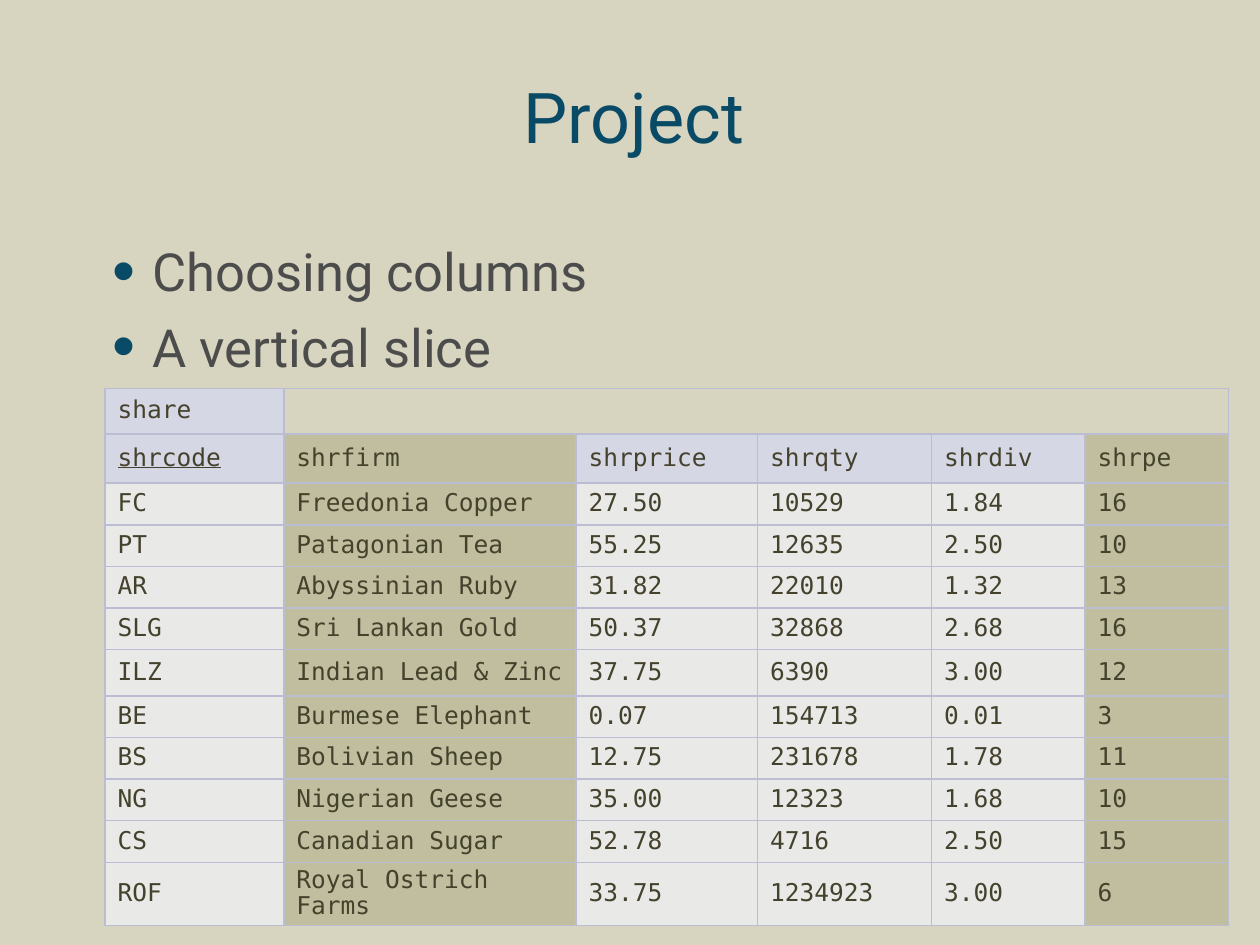
"""Build the Project slide: two bullets above a share table with two columns shaded out."""
from lxml.etree import SubElement
from pptx import Presentation
from pptx.dml.color import RGBColor
from pptx.enum.text import MSO_ANCHOR as Anchor, MSO_AUTO_SIZE as AutoSize, PP_ALIGN as Align
from pptx.oxml.ns import qn
from pptx.util import Pt

TITLE = "Project"
BULLETS = ["Choosing columns", "A vertical slice"]
TABLE_NAME = "share"
HEADERS = ["shrcode", "shrfirm", "shrprice", "shrqty", "shrdiv", "shrpe"]
SHARES = [
    ("FC", "Freedonia Copper", "27.50", "10529", "1.84", "16"),
    ("PT", "Patagonian Tea", "55.25", "12635", "2.50", "10"),
    ("AR", "Abyssinian Ruby", "31.82", "22010", "1.32", "13"),
    ("SLG", "Sri Lankan Gold", "50.37", "32868", "2.68", "16"),
    ("ILZ", "Indian Lead & Zinc", "37.75", "6390", "3.00", "12"),
    ("BE", "Burmese Elephant", "0.07", "154713", "0.01", "3"),
    ("BS", "Bolivian Sheep", "12.75", "231678", "1.78", "11"),
    ("NG", "Nigerian Geese", "35.00", "12323", "1.68", "10"),
    ("CS", "Canadian Sugar", "52.78", "4716", "2.50", "15"),
    ("ROF", "Royal Ostrich Farms", "33.75", "1234923", "3.00", "6"),
]
SHADED_COLUMNS = {"shrfirm", "shrpe"}
COLUMN_WIDTHS = [102.2, 167, 103.7, 99.4, 87.8, 82.1]
ROW_HEIGHT = 23.8
SPECIAL_HEIGHTS = {0: 26, 1: 28.1, 6: 26.4, 11: 26}

BACKGROUND = RGBColor(0xD7, 0xD4, 0xBF)
TEAL = RGBColor(0x09, 0x4B, 0x67)
GREY = RGBColor(0x4C, 0x4C, 0x4C)
OLIVE = RGBColor(0x44, 0x42, 0x2C)
HEADER_FILL = RGBColor(0xD6, 0xD7, 0xE5)
DATA_FILL = RGBColor(0xE9, 0xE9, 0xE8)
SHADED_FILL = RGBColor(0xC0, 0xBE, 0x9E)
BORDER = RGBColor(0xBB, 0xBD, 0xD3)
SANS, MONO = "Roboto", "DejaVu Sans Mono"


def place(box, left, top, width, height):
    box.left, box.top, box.width, box.height = map(Pt, (left, top, width, height))


def set_font(paragraph, name, size, color):
    font = paragraph.font
    font.name, font.size, font.bold = name, Pt(size), False
    font.color.rgb = color


def add_bullet(paragraph):
    properties = paragraph._p.get_or_add_pPr()
    properties.set("marL", str(Pt(36.7)))
    properties.set("indent", str(-Pt(23)))
    defaults = properties.find(qn("a:defRPr"))
    color = SubElement(properties, qn("a:buClr"))
    SubElement(color, qn("a:srgbClr"), val=str(TEAL))
    size = SubElement(properties, qn("a:buSzPct"), val="125000")
    mark = SubElement(properties, qn("a:buChar"), char="•")
    for element in (color, size, mark):
        defaults.addprevious(element)


def add_borders(cell):
    properties = cell._tc.get_or_add_tcPr()
    for position, side in enumerate(("lnL", "lnR", "lnT", "lnB")):
        line = SubElement(properties, qn("a:" + side), w=str(Pt(1)))
        fill = SubElement(line, qn("a:solidFill"))
        SubElement(fill, qn("a:srgbClr"), val=str(BORDER))
        properties.insert(position, line)


def format_cell(cell, text, fill):
    cell.text = text
    cell.vertical_anchor = Anchor.MIDDLE
    if fill is None:
        cell.fill.background()
    else:
        cell.fill.solid()
        cell.fill.fore_color.rgb = fill
    add_borders(cell)
    paragraph = cell.text_frame.paragraphs[0]
    set_font(paragraph, MONO, 14, OLIVE)
    paragraph.line_spacing = 0.88
    paragraph.space_before = Pt(0)
    spacing = paragraph._p.pPr.find(qn("a:spcBef"))
    spacing.remove(spacing[0])
    SubElement(spacing, qn("a:spcPct"), val="20000")
    if not text:
        paragraph._p.get_or_add_endParaRPr().set("sz", "1400")
    paragraph.font.underline = text == HEADERS[0]


def fill_for(row, column):
    if row == 0:
        return None if column else HEADER_FILL
    if HEADERS[column] in SHADED_COLUMNS:
        return SHADED_FILL
    return HEADER_FILL if row == 1 else DATA_FILL


def add_share_table(page):
    rows = [[TABLE_NAME] + [""] * (len(HEADERS) - 1), HEADERS, *SHARES]
    heights = [SPECIAL_HEIGHTS.get(index, ROW_HEIGHT) for index in range(len(rows))]
    table = page.shapes.add_table(
        len(rows), len(HEADERS), Pt(60), Pt(222), Pt(sum(COLUMN_WIDTHS)), Pt(sum(heights))
    ).table
    table.first_row = table.horz_banding = False
    for column, width in zip(table.columns, COLUMN_WIDTHS):
        column.width = Pt(width)
    for row, height in zip(table.rows, heights):
        row.height = Pt(height)
    for row, values in enumerate(rows):
        for column, text in enumerate(values):
            format_cell(table.cell(row, column), text, fill_for(row, column))
    table.cell(0, 1).merge(table.cell(0, len(HEADERS) - 1))


def main():
    deck = Presentation()
    deck.slide_width, deck.slide_height = Pt(720), Pt(540)
    page = deck.slides.add_slide(deck.slide_layouts[1])
    page.background.fill.solid()
    page.background.fill.fore_color.rgb = BACKGROUND

    title, body = page.shapes.title, page.placeholders[1]
    place(title, 43.2, 22.3, 638, 87.1)
    title.text_frame.text = TITLE
    title.text_frame.vertical_anchor = Anchor.MIDDLE
    heading = title.text_frame.paragraphs[0]
    heading.alignment = Align.CENTER
    set_font(heading, SANS, 40, TEAL)

    place(body, 43.2, 133.2, 638, 82.8)
    body.text_frame.text = "\n".join(BULLETS)
    for frame in (title.text_frame, body.text_frame):
        frame.auto_size = AutoSize.NONE
    for paragraph in body.text_frame.paragraphs:
        set_font(paragraph, SANS, 30, GREY)
        paragraph.space_before = Pt(7)
        add_bullet(paragraph)

    add_share_table(page)
    deck.save("out.pptx")


if __name__ == "__main__":
    main()
